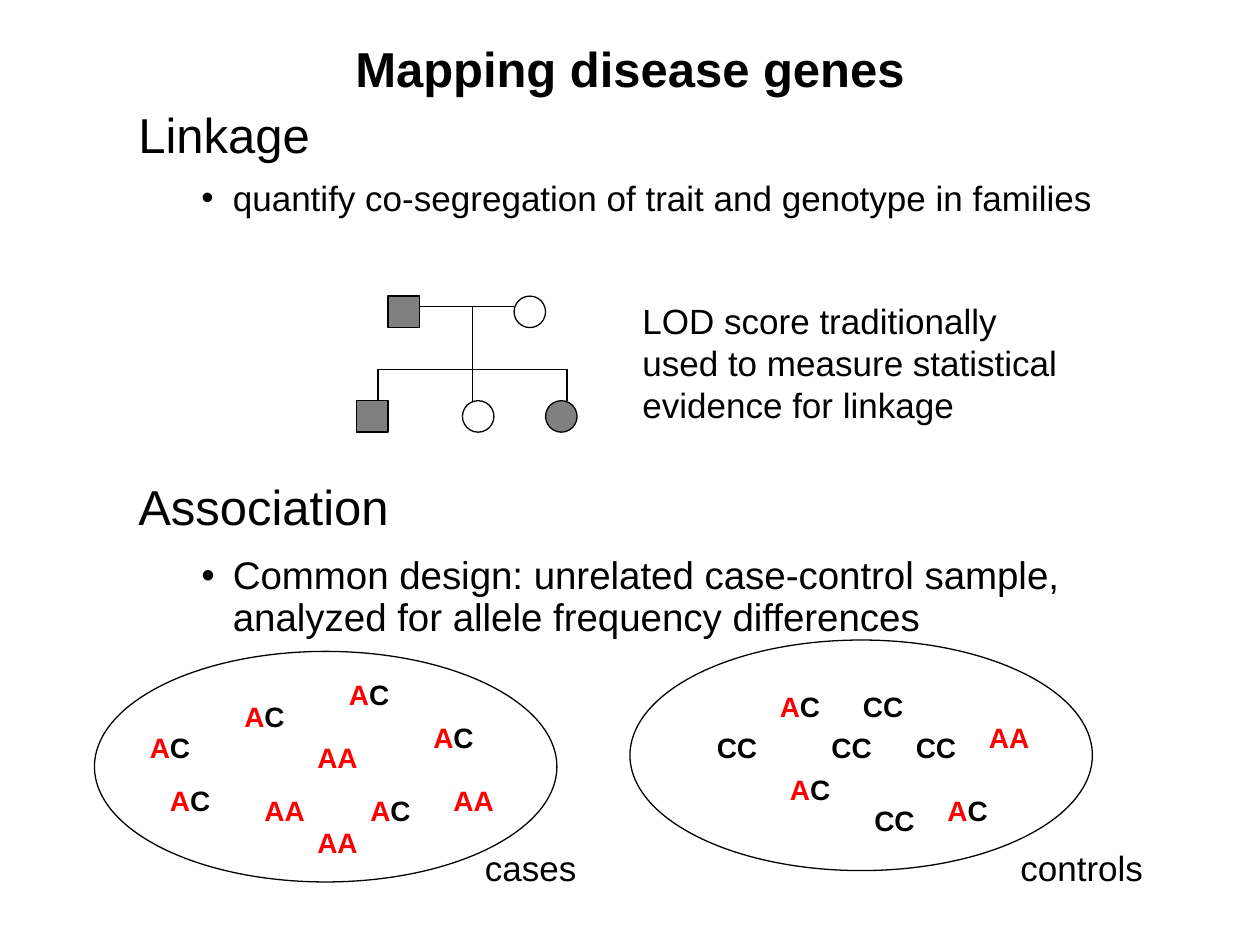
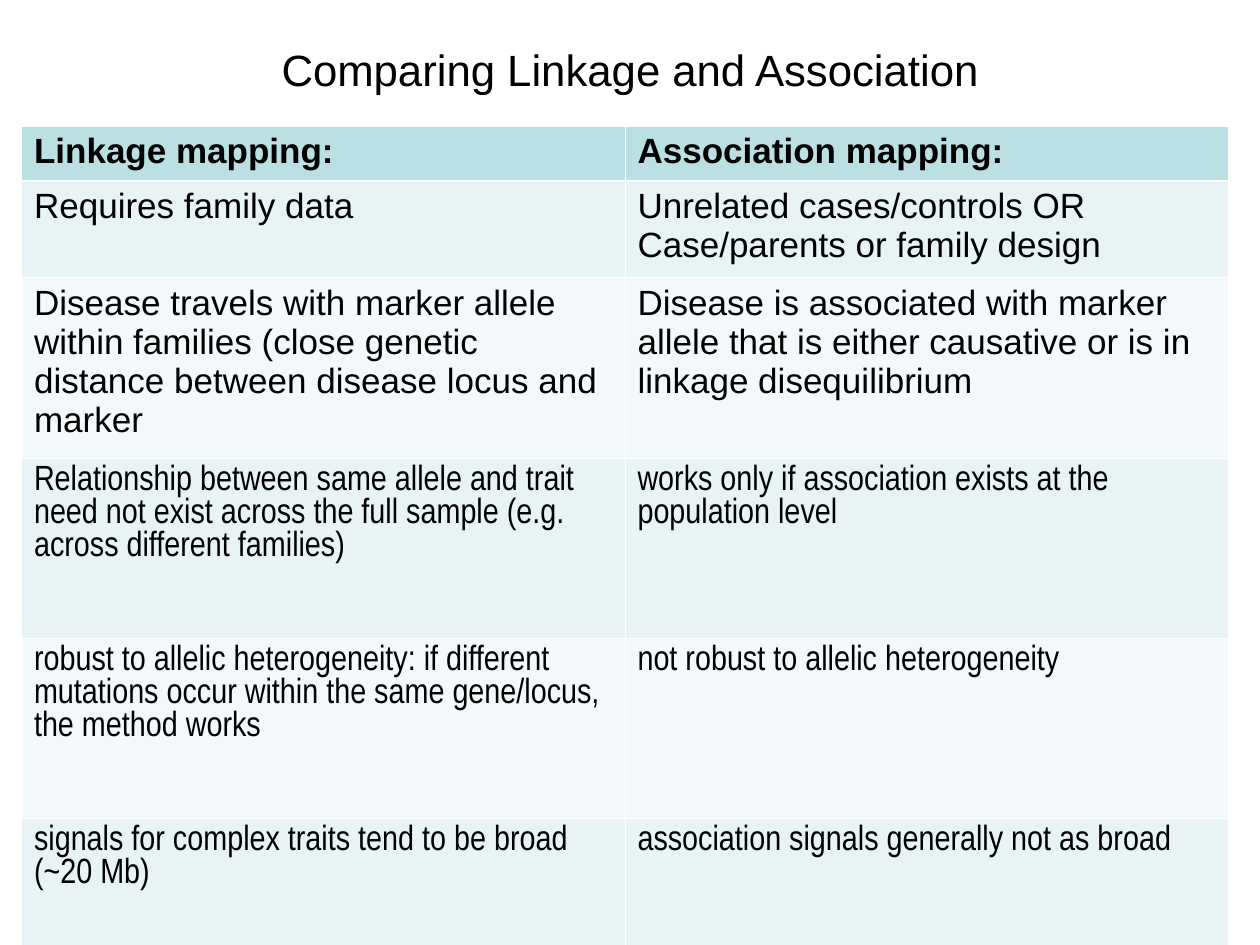
from lxml import etree
from pptx import Presentation
from pptx.dml.color import RGBColor
from pptx.enum.shapes import MSO_CONNECTOR, MSO_SHAPE
from pptx.enum.text import MSO_ANCHOR, MSO_AUTO_SIZE, PP_ALIGN
from pptx.oxml.ns import qn
from pptx.util import Inches, Pt

RECT, OVAL = MSO_SHAPE.RECTANGLE, MSO_SHAPE.OVAL
LINE = MSO_CONNECTOR.STRAIGHT
MIDDLE, CENTER = MSO_ANCHOR.MIDDLE, PP_ALIGN.CENTER
FIT = MSO_AUTO_SIZE.SHAPE_TO_FIT_TEXT

BLACK = RGBColor(0x00, 0x00, 0x00)
WHITE = RGBColor(0xFF, 0xFF, 0xFF)
RED = RGBColor(0xFF, 0x00, 0x00)
GRAY = RGBColor(0x80, 0x80, 0x80)
HEAD = RGBColor(0xBB, 0xE0, 0xE3)
BANDS = RGBColor(0xF3, 0xF9, 0xFA), RGBColor(0xE7, 0xF3, 0xF4)
FONT, NARROW = "Arial", "Arial Narrow"

NODE = 0.25
NODES = [
    (RECT, 3.08, 2.35, GRAY), (OVAL, 4.08, 2.35, None),
    (RECT, 2.83, 3.18, GRAY), (OVAL, 3.67, 3.18, None),
    (OVAL, 4.33, 3.18, GRAY),
]
MATE, SIBS, KIDS = 2.43, 2.93, 3.18
DROPS = 3, 3.75, 4.5

GROUPS = [
    ("cases", 0.75, 5.17, 3.75, 0.95, [
        ("AC", 1.09, 5.75), ("AC", 1.84, 5.5), ("AC", 3.34, 5.67),
        ("AC", 2.67, 5.33), ("AA", 2, 6.25), ("AC", 2.84, 6.25),
        ("AA", 2.42, 5.83), ("AC", 1.25, 6.17), ("AA", 3.5, 6.17),
        ("AA", 2.42, 6.5)]),
    ("controls", 5, 5.08, 8, 1.2, [
        ("CC", 5.59, 5.75), ("AC", 6.17, 6.08), ("AC", 6.09, 5.42),
        ("CC", 6.5, 5.75), ("CC", 6.75, 5.42), ("CC", 6.84, 6.33),
        ("CC", 7.17, 5.75), ("AC", 7.42, 6.25), ("AA", 7.75, 5.67)]),
]

LOD = ["LOD score traditionally", "used to measure statistical",
       "evidence for linkage"]

COLS = 4.79, 4.79
HEIGHTS = 0.43, 0.77, 1.43, 1.43, 1.43, 1.1
FIRST_NARROW = 3
ROWS = [
    (["Linkage mapping:"], ["Association mapping:"]),
    (["Requires family data"],
     ["Unrelated cases/controls OR", "Case/parents or family design"]),
    (["Disease travels with marker allele within families (close genetic "
      "distance between disease locus and marker"],
     ["Disease is associated with marker allele that is either causative "
      "or is in linkage disequilibrium"]),
    (["Relationship between same allele and trait need not exist across "
      "the full sample (e.g. across different families)"],
     ["works only if association exists at the population level"]),
    (["robust to allelic heterogeneity: if different mutations occur "
      "within the same gene/locus, the method works"],
     ["not robust to allelic heterogeneity"]),
    (["signals for complex traits tend to be broad (~20 Mb)"],
     ["association signals generally not as broad"]),
]


def add_run(para, text, size, color=BLACK, bold=False, face=FONT):
    """Add one styled run to a paragraph."""
    run = para.add_run()
    run.text = text
    font = run.font
    font.size, font.bold, font.name = Pt(size), bold, face
    font.color.rgb = color


def add_lines(frame, lines, size, bold=False, face=FONT):
    """Fill a text frame with one paragraph per line."""
    for i, line in enumerate(lines):
        para = frame.add_paragraph() if i else frame.paragraphs[0]
        add_run(para, line, size, bold=bold, face=face)


def add_box(slide, x, y, w, h, wrap=True):
    """Add a text box and return its frame."""
    box = slide.shapes.add_textbox(Inches(x), Inches(y), Inches(w), Inches(h))
    frame = box.text_frame
    frame.word_wrap = wrap
    if not wrap:
        frame.auto_size = FIT
    return frame


def add_title(slide, text, y, h, size, bold=False):
    """Add a centred slide title."""
    frame = add_box(slide, 0.5, y, 9, h)
    frame.vertical_anchor = MIDDLE
    frame.paragraphs[0].alignment = CENTER
    add_lines(frame, [text], size, bold)


def set_para(para, left, hang, before, bullet=False):
    """Set indent, spacing and an optional bullet."""
    para.line_spacing = 0.9
    para.space_before = Pt(before)
    props = para._p.get_or_add_pPr()
    props.set("marL", str(Inches(left)))
    props.set("indent", str(-Inches(hang)))
    if bullet:
        tint = etree.SubElement(props, qn("a:buClr"))
        etree.SubElement(tint, qn("a:srgbClr"), val=str(BLACK))
        etree.SubElement(props, qn("a:buFont"), typeface=FONT)
        etree.SubElement(props, qn("a:buChar"), char="•")


def add_topic(slide, y, h, head, gap, before, point, size, lead):
    """Add a topic heading with one bullet below it."""
    frame = add_box(slide, 0.5, y, 9, h)
    top = frame.paragraphs[0]
    set_para(top, 0.81, 0.31, before)
    add_run(top, head, 28)
    add_run(top, " ", gap)
    item = frame.add_paragraph()
    set_para(item, 1.25, 0.25, lead, bullet=True)
    add_run(item, point, size)


def add_form(slide, kind, x, y, w, h, fill=None):
    """Add an outlined shape, filled when a colour is given."""
    form = slide.shapes.add_shape(
        kind, Inches(x), Inches(y), Inches(w), Inches(h))
    form.shadow.inherit = False
    form.line.color.rgb = BLACK
    form.line.width = Pt(0.75)
    if fill is None:
        form.fill.background()
    else:
        form.fill.solid()
        form.fill.fore_color.rgb = fill


def add_line(slide, x1, y1, x2, y2):
    """Add a thin black line."""
    line = slide.shapes.add_connector(
        LINE, Inches(x1), Inches(y1), Inches(x2), Inches(y2))
    line.line.color.rgb = BLACK
    line.line.width = Pt(0.75)
    etree.SubElement(line._element.spPr, qn("a:effectLst"))


def add_tree(slide):
    """Draw the family tree."""
    for kind, x, y, fill in NODES:
        add_form(slide, kind, x, y, NODE, NODE, fill)
    add_line(slide, 3.33, MATE, 4.08, MATE)
    add_line(slide, DROPS[1], MATE, DROPS[1], SIBS)
    add_line(slide, DROPS[0], SIBS, DROPS[-1], SIBS)
    for x in DROPS:
        add_line(slide, x, SIBS, x, KIDS)


def add_pair(slide, pair, x, y):
    """Add a genotype with each A in red."""
    para = add_box(slide, x, y, 0.52, 0.37, wrap=False).paragraphs[0]
    runs = [pair] if pair[0] == pair[1] else pair
    for text in runs:
        add_run(para, text, 16, RED if text[0] == "A" else BLACK, True)


def add_group(slide, name, x, y, name_x, name_w, pairs):
    """Draw a sample group with its label and genotypes."""
    add_form(slide, OVAL, x, y, 3.67, 1.83)
    label = add_box(slide, name_x, 6.67, name_w, 0.44, wrap=False)
    add_lines(label, [name], 20)
    for pair in pairs:
        add_pair(slide, *pair)


def set_edges(cell, row):
    """Draw white cell borders, thicker under the header."""
    props = cell._tc.get_or_add_tcPr()
    thick = {0: "lnB", 1: "lnT"}.get(row)
    for side in ("lnL", "lnR", "lnT", "lnB"):
        width = Pt(1.47 if side == thick else 0.45)
        edge = etree.SubElement(props, qn("a:" + side), w=str(width))
        fill = etree.SubElement(edge, qn("a:solidFill"))
        etree.SubElement(fill, qn("a:srgbClr"), val=str(WHITE))


def add_grid(slide):
    """Add the table that compares both methods."""
    table = slide.shapes.add_table(
        len(ROWS), len(COLS), Inches(0.17), Inches(1),
        Inches(sum(COLS)), Inches(sum(HEIGHTS))).table
    for col, width in zip(table.columns, COLS):
        col.width = Inches(width)
    for r, (row, height) in enumerate(zip(ROWS, HEIGHTS)):
        table.rows[r].height = Inches(height)
        face = NARROW if r >= FIRST_NARROW else FONT
        for c, lines in enumerate(row):
            cell = table.cell(r, c)
            set_edges(cell, r)
            cell.fill.solid()
            cell.fill.fore_color.rgb = BANDS[r % 2] if r else HEAD
            add_lines(cell.text_frame, lines, 20, r == 0, face)


def make_genes(slide):
    """Build the slide on mapping disease genes."""
    add_title(slide, "Mapping disease genes", 0.25, 0.58, 28, True)
    add_topic(slide, 0.83, 3.33, "Linkage", 26, 13,
              "quantify co-segregation of trait and genotype in families",
              20, 10)
    add_tree(slide)
    add_topic(slide, 3.75, 1.67, "Association", 31, 15.5,
              "Common design: unrelated case-control sample, "
              "analyzed for allele frequency differences", 22, 11)
    for group in GROUPS:
        add_group(slide, *group)
    add_lines(add_box(slide, 5, 2.33, 3.57, 1.1, wrap=False), LOD, 20)


def make_compare(slide):
    """Build the slide that compares linkage and association."""
    add_title(slide, "Comparing Linkage and Association", 0.17, 0.75, 25)
    add_grid(slide)


def main():
    """Build and save both slides."""
    deck = Presentation()
    deck.slide_width, deck.slide_height = Inches(10), Inches(7.5)
    blank = deck.slide_layouts[6]
    for make in (make_genes, make_compare):
        make(deck.slides.add_slide(blank))
    deck.save("out.pptx")


if __name__ == "__main__":
    main()
